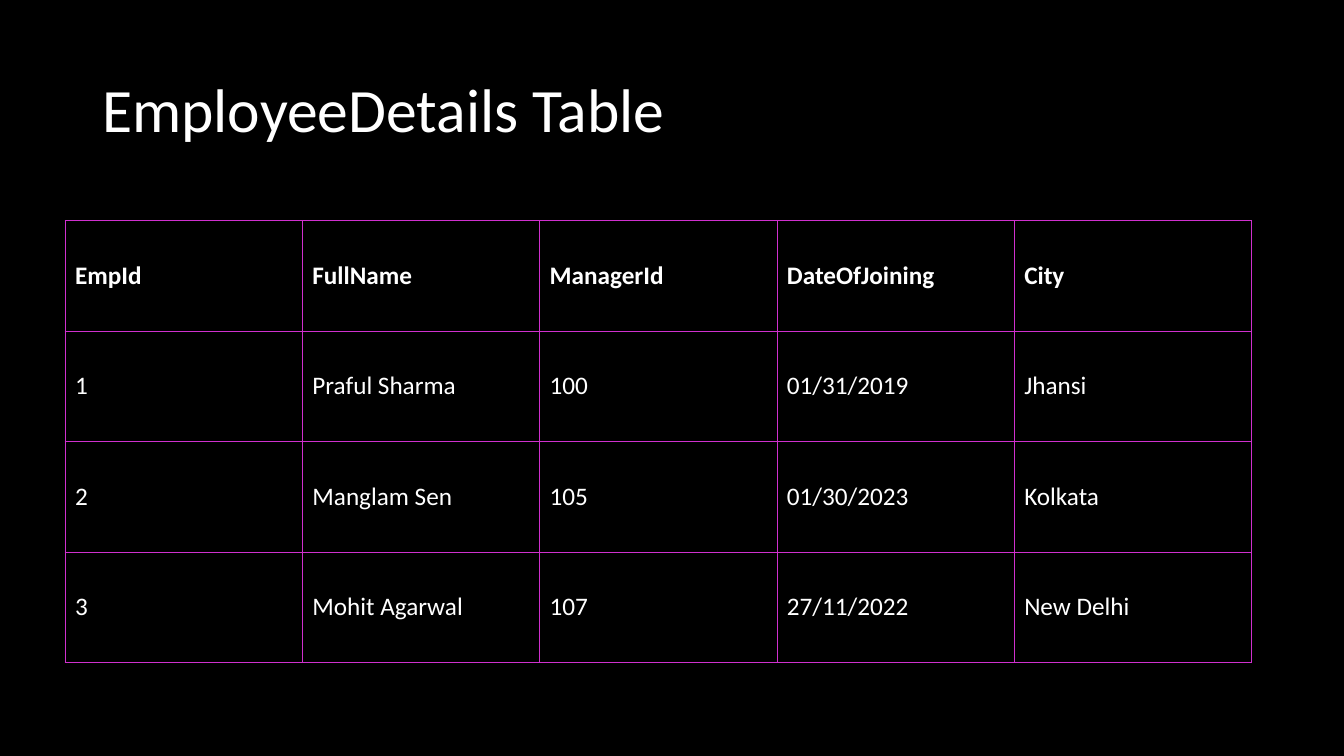
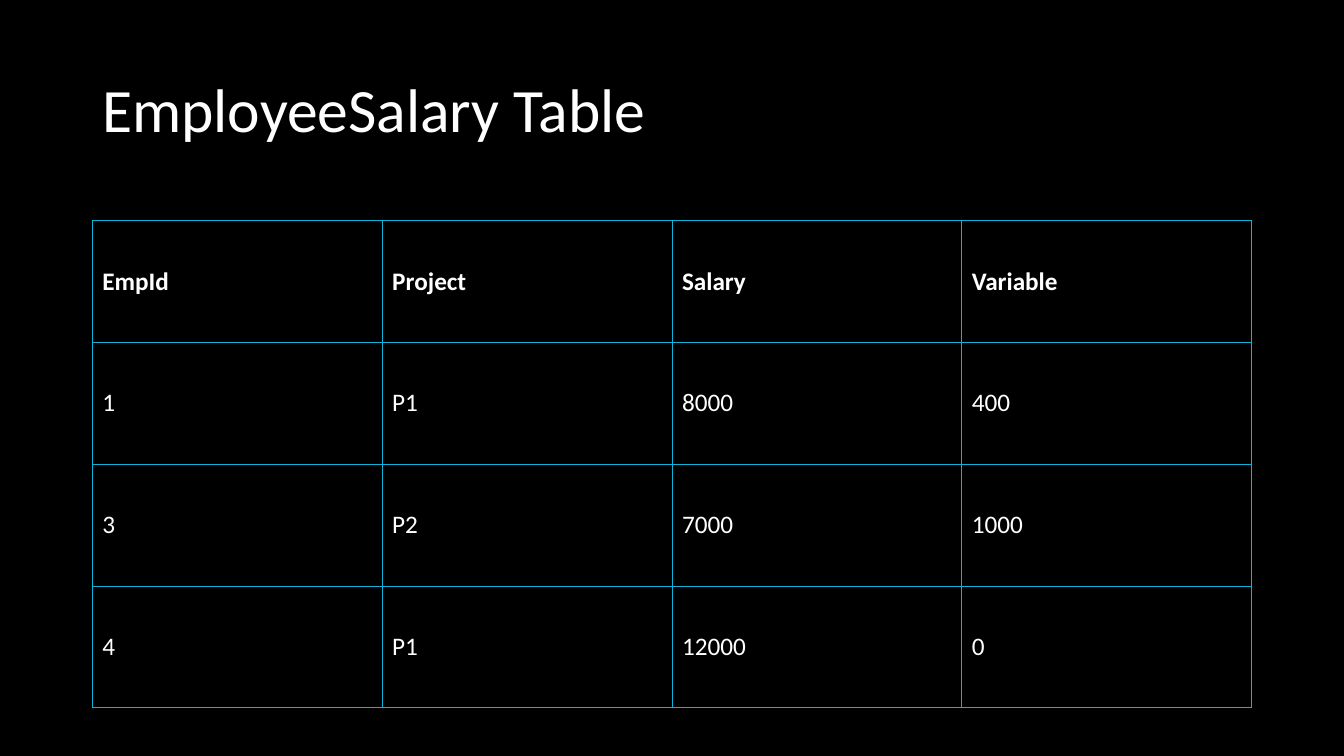
"""Build two dark slides, each with a title and a ruled table."""
from dataclasses import dataclass

from lxml import etree
from pptx import Presentation
from pptx.dml.color import RGBColor
from pptx.enum.text import MSO_ANCHOR
from pptx.oxml.ns import qn
from pptx.util import Pt

MID = MSO_ANCHOR.MIDDLE
SCALE = 9525
WIDE, HIGH = 1280, 720
TITLE_BOX = (88, 38, 1104, 139)
EDGES = ("a:lnL", "a:lnR", "a:lnT", "a:lnB")


@dataclass(frozen=True)
class Theme:
    """Hold the colours, type sizes and line width."""
    font: str = "Calibri"
    back: str = "000000"
    ink: str = "FFFFFF"
    pink: str = "D030CE"
    cyan: str = "10B2DB"
    head: int = 44
    body: int = 18
    rule: float = 0.6


THEME = Theme()

STAFF = (
    ("EmpId", "FullName", "ManagerId", "DateOfJoining", "City"),
    ("1", "Praful Sharma", "100", "01/31/2019", "Jhansi"),
    ("2", "Manglam Sen", "105", "01/30/2023", "Kolkata"),
    ("3", "Mohit Agarwal", "107", "27/11/2022", "New Delhi"),
)
PAY = (
    ("EmpId", "Project", "Salary", "Variable"),
    ("1", "P1", "8000", "400"),
    ("3", "P2", "7000", "1000"),
    ("4", "P1", "12000", "0"),
)
PAGES = (
    ("EmployeeDetails Table", STAFF, (62, 210, 1130, 421), THEME.pink),
    ("EmployeeSalary Table", PAY, (88, 210, 1104, 464), THEME.cyan),
)


def emu(box):
    """Turn px lengths into EMU."""
    return [round(px * SCALE) for px in box]


def paint(fill, hue):
    """Give a fill one solid colour."""
    fill.solid()
    fill.fore_color.rgb = RGBColor.from_string(hue)


def style(frame, size, bold=False):
    """Format every run of a text frame."""
    for para in frame.paragraphs:
        for run in para.runs:
            run.font.name = THEME.font
            run.font.size = Pt(size)
            run.font.bold = bold
            run.font.color.rgb = RGBColor.from_string(THEME.ink)


def border(cell, hue):
    """Rule all four edges of a cell."""
    props = cell._tc.get_or_add_tcPr()
    for spot, edge in enumerate(EDGES):
        line = etree.Element(qn(edge), w=str(Pt(THEME.rule)))
        fill = etree.SubElement(line, qn("a:solidFill"))
        etree.SubElement(fill, qn("a:srgbClr"), val=hue)
        props.insert(spot, line)


def title(slide, box, text):
    """Place the slide title in its box."""
    frame = slide.shapes.add_textbox(*emu(box)).text_frame
    frame.word_wrap = True
    frame.vertical_anchor = MID
    frame.text = text
    frame.paragraphs[0].line_spacing = 0.9
    style(frame, THEME.head)


def grid(slide, box, rows, hue):
    """Place a table with equal rows and columns in its box."""
    shape = slide.shapes.add_table(len(rows), len(rows[0]), *emu(box))
    table = shape.table
    table.horz_banding = False
    table.first_row = False
    for col in table.columns:
        col.width = round(box[2] * SCALE / len(rows[0]))
    for top, row in enumerate(rows):
        table.rows[top].height = round(box[3] * SCALE / len(rows))
        for left, text in enumerate(row):
            cell = table.cell(top, left)
            cell.text_frame.text = text
            cell.vertical_anchor = MID
            paint(cell.fill, THEME.back)
            border(cell, hue)
            style(cell.text_frame, THEME.body, top == 0)


def main():
    """Build and save the deck."""
    deck = Presentation()
    deck.slide_width, deck.slide_height = emu((WIDE, HIGH))
    paint(deck.slide_master.background.fill, THEME.back)
    for name, rows, box, hue in PAGES:
        slide = deck.slides.add_slide(deck.slide_layouts[6])
        title(slide, TITLE_BOX, name)
        grid(slide, box, rows, hue)
    deck.save("out.pptx")


if __name__ == "__main__":
    main()
